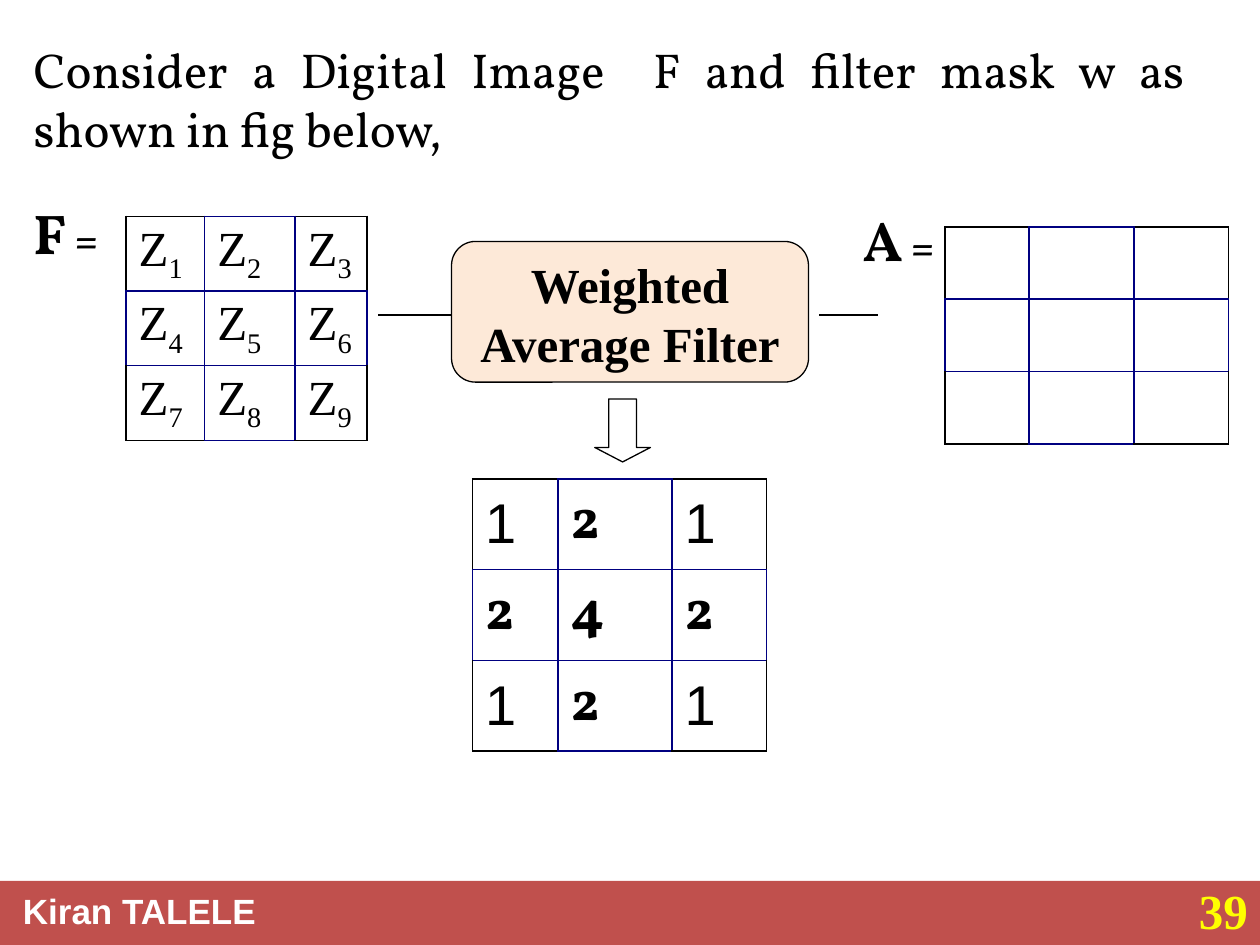
import pptx
import pptx.util
import pptx.dml.color
import pptx.enum.shapes
import pptx.enum.text
import pptx.oxml
import pptx.oxml.ns

Color = pptx.dml.color.RGBColor
Kind = pptx.enum.shapes.MSO_SHAPE
Align = pptx.enum.text.PP_ALIGN
Anchor = pptx.enum.text.MSO_ANCHOR

BLACK = Color(0x00, 0x00, 0x00)
WHITE = Color(0xFF, 0xFF, 0xFF)
NAVY = Color(0x00, 0x00, 0x80)
PEACH = Color(0xFD, 0xE9, 0xD8)
RED = Color(0xC0, 0x50, 0x4D)
YELLOW = Color(0xFF, 0xFF, 0x00)

SERIF, SANS, BOOK = "Times New Roman", "Arial", "Vollkorn"
UNIT = pptx.util.Inches(10) / 120  # the slide is 120 columns by 90 rows


def grid(*sizes):
    return [pptx.util.Emu(round(size * UNIT)) for size in sizes]


def style(para, face, size, color=BLACK, bold=False, align=None):
    font = para.font
    font.name, font.size, font.bold = face, pptx.util.Pt(size), bold
    font.color.rgb = color
    para.alignment = align


def add_title(slide, text):
    title = slide.shapes.title
    title.left, title.top, title.width, title.height = grid(2, 3, 112, 15.1)
    frame = title.text_frame
    frame.text = text
    frame.auto_size = pptx.enum.text.MSO_AUTO_SIZE.NONE
    frame.vertical_anchor = Anchor.MIDDLE
    frame.margin_bottom = pptx.util.Inches(0.25)
    style(frame.paragraphs[0], BOOK, 28, align=Align.JUSTIFY)


def add_text(slide, place, text, face, size, color=BLACK):
    frame = slide.shapes.add_textbox(*grid(*place)).text_frame
    frame.word_wrap = True
    frame.margin_right = 0
    para = frame.paragraphs[0]
    para.add_run().text = text
    style(para, face, size, color, bold=True)
    return para


def add_label(slide, place, text):
    para = add_text(slide, place, text, BOOK, 32)
    sign = para.add_run()
    sign.text = " ="
    sign.font.size = pptx.util.Pt(24)


def add_shape(slide, kind, place, fill, line=None, adjust=()):
    shape = slide.shapes.add_shape(kind, *grid(*place))
    shape.shadow.inherit = False
    shape.fill.solid()
    shape.fill.fore_color.rgb = fill
    if line is None:
        shape.line.fill.background()
    else:
        shape.line.color.rgb = line
        shape.line.width = pptx.util.Pt(0.75)
    for index, value in enumerate(adjust):
        shape.adjustments[index] = value
    return shape


def add_line(slide, left, right, row):
    line = slide.shapes.add_connector(
        pptx.enum.shapes.MSO_CONNECTOR.STRAIGHT, *grid(left, row, right, row))
    line.line.color.rgb = BLACK
    line.line.width = pptx.util.Pt(0.75)
    line._element.spPr.append(pptx.oxml.parse_xml(
        f'<a:effectLst {pptx.oxml.ns.nsdecls("a")}/>'))


def set_edges(cell, row, col):
    """Rule the cell in navy, with black on the outer sides of the corners."""
    corner = row != 1 and col != 1
    outer = {"L": col == 0, "R": col == 2, "T": row == 0, "B": row == 2}
    props = cell._tc.get_or_add_tcPr()
    for side, edge in outer.items():
        color = BLACK if corner and edge else NAVY
        props.append(pptx.oxml.parse_xml(
            f'<a:ln{side} {pptx.oxml.ns.nsdecls("a")} w="12700"><a:solidFill>'
            f'<a:srgbClr val="{color}"/></a:solidFill></a:ln{side}>'))


def add_matrix(slide, left, top, widths, height, write=None):
    """Add a 3 by 3 table whose cells are filled in by write(cell, row, col)."""
    place = grid(left, top, sum(widths), 3 * height)
    table = slide.shapes.add_table(3, 3, *place).table
    table.first_row = table.horz_banding = False
    for index, width in enumerate(grid(*widths)):
        table.columns[index].width = width
        table.rows[index].height = grid(height)[0]
    for index, cell in enumerate(table.iter_cells()):
        row, col = divmod(index, 3)
        set_edges(cell, row, col)
        cell.fill.background()
        if write:
            write(cell, row, col)


def write_pixel(cell, row, col):
    para = cell.text_frame.paragraphs[0]
    para.add_run().text = "Z"
    sub = para.add_run()
    sub.text = str(3 * row + col + 1)
    sub._r.get_or_add_rPr().set("baseline", "-25000")
    style(para, SERIF, 28)


def write_weight(cell, row, col):
    weight = 2 ** ((row == 1) + (col == 1))
    cell.text = str(weight)
    cell.vertical_anchor = Anchor.MIDDLE
    heavy = weight > 1
    style(cell.text_frame.paragraphs[0], BOOK if heavy else SANS, 32, bold=heavy)


def add_filter(slide):
    add_line(slide, 36, 45.1, 30)
    block = add_shape(slide, Kind.ROUNDED_RECTANGLE, (43, 23, 34, 13.4),
                      PEACH, BLACK, [0.17])
    frame = block.text_frame
    frame.text = "Weighted Average Filter"
    frame.word_wrap = True
    frame.vertical_anchor = Anchor.TOP
    style(frame.paragraphs[0], SERIF, 28, bold=True, align=Align.CENTER)
    add_shape(slide, Kind.DOWN_ARROW, (56.65, 38, 5.3, 6),
              WHITE, BLACK, [0.5, 0.26])
    add_line(slide, 78, 83.65, 30)


def add_footer(slide):
    add_shape(slide, Kind.RECTANGLE, (0, 83.9, 120, 6.1), RED)
    add_text(slide, (1, 84.1, 25.2, 5.3), "Kiran TALELE", SANS, 20, WHITE)
    add_text(slide, (113, 83.3, 7, 6.7), "39", SERIF, 28, YELLOW)


def main():
    deck = pptx.Presentation()
    deck.slide_width, deck.slide_height = grid(120, 90)
    slide = deck.slides.add_slide(deck.slide_layouts[5])
    add_title(slide, "Consider a Digital Image  F and filter mask w as "
                     "shown in fig below,")
    add_filter(slide)
    add_matrix(slide, 12, 20.6, (7.5, 8.6, 6.85), 6.8, write_pixel)
    add_matrix(slide, 45, 45.6, (8.15, 10.85, 9), 7.6, write_weight)
    add_footer(slide)
    add_matrix(slide, 90, 21.6, (8, 10, 9), 6.9)
    add_label(slide, (2, 18.3, 12, 7.7), "F")
    add_label(slide, (81, 19, 12, 7.7), "A")
    deck.save("out.pptx")


if __name__ == "__main__":
    main()
